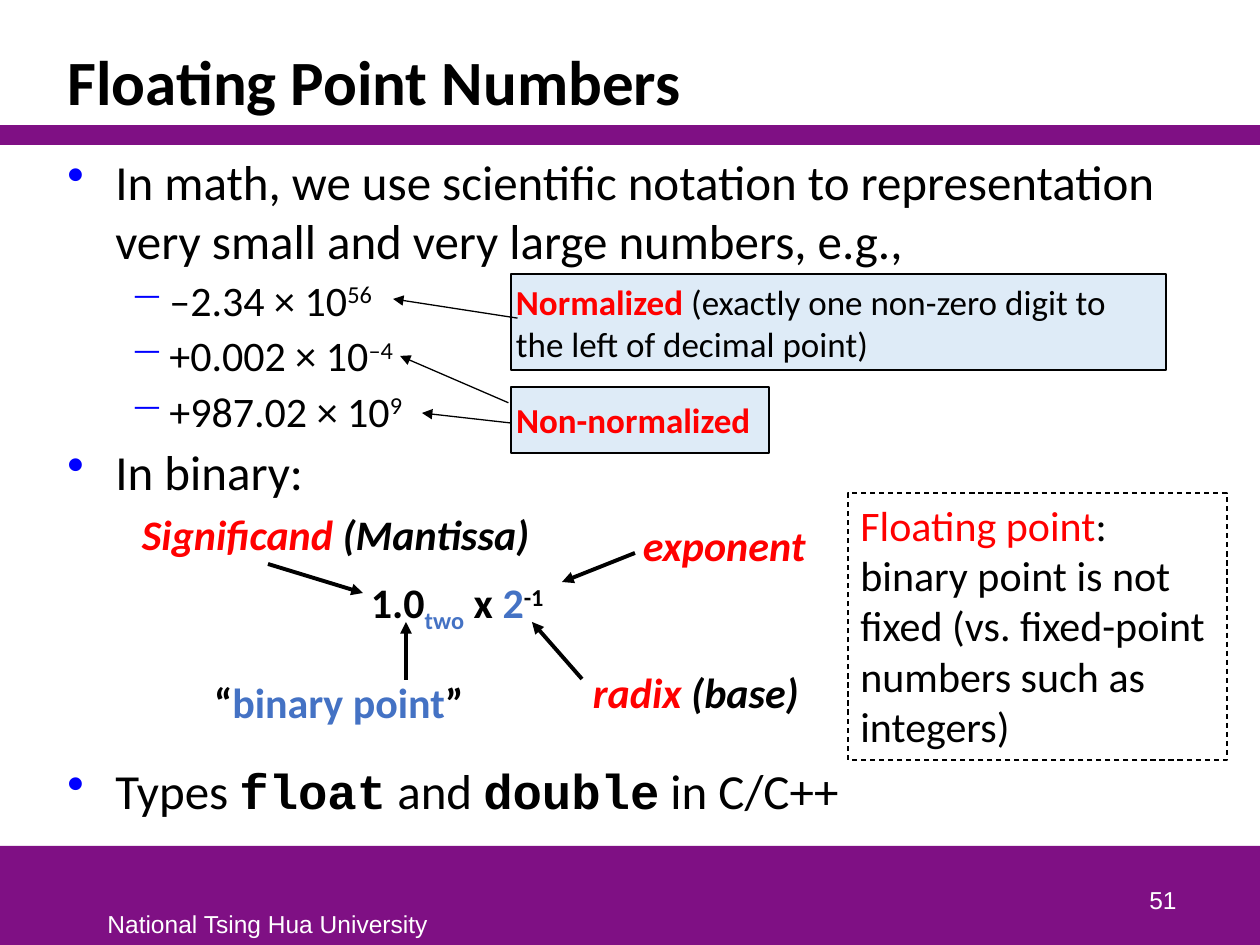
"""Build the Floating Point Numbers slide."""
from lxml.etree import SubElement
from pptx import Presentation
from pptx.dml.color import RGBColor
from pptx.enum.dml import MSO_LINE
from pptx.enum.shapes import MSO_CONNECTOR, MSO_SHAPE
from pptx.enum.text import MSO_ANCHOR, PP_ALIGN
from pptx.oxml.ns import qn
from pptx.util import Pt

PX = 914400 / 126
BLACK, WHITE, RED, BLUE = "000000", "FFFFFF", "FF0000", "4472C4"
PURPLE, PALE, BULLET = "7F1084", "DEEBF7", "0000FF"
BOLD = {"bold": True}
TERM = {"bold": True, "italic": True}
KEY = {**TERM, "color": RED}
ACCENT = {**BOLD, "color": BLUE}
CODE = {**BOLD, "face": "Courier New"}
SUPER = {"baseline": 30}
FOOT = {"color": WHITE, "face": "Arial"}

TITLE = "Floating Point Numbers"
BANDS = [(0, 846, 1260, 99), (0, 125, 1260, 20)]
LEVELS = [
    {"bullet": "•", "margin": 48, "hang": 48, "size": 28},
    {"bullet": "−", "margin": 102, "hang": 39, "size": 24},
]
BULLETS = [
    (0, 0, [("In math, we use scientific notation to representation "
             "very small and very large numbers, e.g.,", {})]),
    (1, 3, [("–2.34 × 10", {}), ("56", SUPER)]),
    (1, 3, [("+0.002 × 10", {}), ("–4", SUPER)]),
    (1, 3, [("+987.02 × 10", {}), ("9", SUPER)]),
    (0, 3, [("In binary:", {})]),
    (0, 149, [("Types ", {}), ("float", CODE), (" and ", {}),
              ("double", CODE), (" in C/C++", {})]),
]
CALLOUTS = [
    ((511, 274, 655, 96), (0.46, 0.01, 0.26, -0.18),
     [("Normalized", {**BOLD, "color": RED}),
      (" (exactly one non-zero digit to the left of decimal point)", {})]),
    ((511, 387, 258, 66), (0.24, -0.01, -0.47, -0.43),
     [("Non-normalized", {**BOLD, "color": RED})]),
]
LABELS = [
    ((363, 576, 199, 50), [("1.0", BOLD), ("two", {**ACCENT, "baseline": -25}),
                           (" x ", BOLD), ("2", ACCENT),
                           ("-1", {**BOLD, **SUPER})]),
    ((585, 670, 224, 50), [("radix", KEY), (" (base)", TERM)]),
    ((206, 680, 294, 50), [("“", BOLD), ("binary point", ACCENT), ("”", BOLD)]),
    ((134, 512, 408, 50), [("Significand ", KEY), ("(Mantissa)", TERM)]),
    ((635, 523, 180, 50), [("exponent", KEY)]),
]
ARROWS = [
    ((511, 423), (422, 413), 0.75),
    ((582, 679), (532, 622), 2.25),
    ((406, 680), (406, 622), 2.25),
    ((268, 564), (363, 593), 2.25),
    ((635, 553), (562, 582), 2.25),
]
NOTE = ((848, 493, 379, 267), [
    ("Floating point", {"color": RED}),
    (": binary point is not fixed (vs. fixed-point numbers such as integers)", {})])
FOOTER = ((95, 903, 348, 42), [("National Tsing Hua University", FOOT)])
NUMBER = ((927, 858, 262, 63), [("51", FOOT)])


def px(*lengths):
    return [round(length * PX) for length in lengths]


def rgb(value):
    return RGBColor.from_string(value)


def add_runs(paragraph, runs, size):
    for text, style in runs:
        run = paragraph.add_run()
        run.text = text
        font = run.font
        font.name, font.size = style.get("face", "Calibri"), Pt(size)
        font.bold, font.italic = style.get("bold", False), style.get("italic", False)
        font.color.rgb = rgb(style.get("color", BLACK))
        if "baseline" in style:
            font._element.set("baseline", str(style["baseline"] * 1000))


def set_insets(frame, across, down):
    frame.margin_left, frame.margin_right = px(across, across)
    frame.margin_top, frame.margin_bottom = px(down, down)


def add_text(slide, box, runs, size, wrap=False):
    frame = slide.shapes.add_textbox(*px(*box)).text_frame
    frame.word_wrap = wrap
    add_runs(frame.paragraphs[0], runs, size)
    return frame


def add_box(slide, kind, box, fill=None, line=None):
    shape = slide.shapes.add_shape(kind, *px(*box))
    shape.shadow.inherit = False
    if fill:
        shape.fill.solid()
        shape.fill.fore_color.rgb = rgb(fill)
    else:
        shape.fill.background()
    if line:
        shape.line.color.rgb = rgb(line)
        shape.line.width = Pt(0.75)
    else:
        shape.line.fill.background()
    return shape


def add_box_text(shape, runs, size):
    frame = shape.text_frame
    frame.word_wrap = True
    frame.vertical_anchor = MSO_ANCHOR.MIDDLE
    frame.paragraphs[0].alignment = PP_ALIGN.LEFT
    add_runs(frame.paragraphs[0], runs, size)
    return frame


def add_arrowhead(shape):
    line = shape._element.spPr.find(qn("a:ln"))
    SubElement(line, qn("a:tailEnd"), type="triangle")


def add_arrow(slide, start, tip, width):
    arrow = slide.shapes.add_connector(MSO_CONNECTOR.STRAIGHT, *px(*start, *tip))
    arrow.line.color.rgb = rgb(BLACK)
    arrow.line.width = Pt(width)
    add_arrowhead(arrow)
    SubElement(arrow._element.spPr, qn("a:effectLst"))


def add_bullets(slide, box):
    frame = slide.shapes.add_textbox(*px(*box)).text_frame
    frame.word_wrap = True
    for index, (depth, before, runs) in enumerate(BULLETS):
        paragraph = frame.add_paragraph() if index else frame.paragraphs[0]
        level = LEVELS[depth]
        paragraph.level = depth
        paragraph.space_before = Pt(before)
        properties = paragraph._p.get_or_add_pPr()
        margin, hang = px(level["margin"], level["hang"])
        properties.set("marL", str(margin))
        properties.set("indent", str(-hang))
        SubElement(SubElement(properties, qn("a:buClr")), qn("a:srgbClr"), val=BULLET)
        SubElement(properties, qn("a:buChar"), char=level["bullet"])
        add_runs(paragraph, runs, level["size"])


def main():
    deck = Presentation()
    deck.slide_width, deck.slide_height = px(1260, 945)
    slide = deck.slides.add_slide(deck.slide_layouts[5])

    for band in BANDS:
        add_box(slide, MSO_SHAPE.RECTANGLE, band, fill=PURPLE)
    add_text(slide, *FOOTER, 14)

    title = slide.shapes.title
    title.left, title.top, title.width, title.height = px(55, 32, 1150, 93)
    title.text_frame.vertical_anchor = MSO_ANCHOR.BOTTOM
    heading = title.text_frame.paragraphs[0]
    heading.alignment, heading.line_spacing = PP_ALIGN.LEFT, 0.85
    add_runs(heading, [(TITLE, BOLD)], 36)

    add_bullets(slide, (55, 145, 1150, 697))
    for box, pointer, runs in CALLOUTS:
        callout = add_box(slide, MSO_SHAPE.LINE_CALLOUT_1, box, PALE, BLACK)
        for index, value in enumerate(pointer):
            callout.adjustments[index] = value
        add_arrowhead(callout)
        set_insets(add_box_text(callout, runs, 20), 5, 5)
    for box, runs in LABELS:
        frame = add_text(slide, box, runs, 24)
        set_insets(frame, 8, 4)
        frame.paragraphs[0].line_spacing = 0.85
    for start, tip, width in ARROWS:
        add_arrow(slide, start, tip, width)

    note_box, note_runs = NOTE
    note = add_box(slide, MSO_SHAPE.RECTANGLE, note_box, line=BLACK)
    note.line.dash_style = MSO_LINE.DASH
    add_box_text(note, note_runs, 24).vertical_anchor = MSO_ANCHOR.TOP

    number = add_text(slide, *NUMBER, 14, wrap=True)
    number.vertical_anchor = MSO_ANCHOR.BOTTOM
    number.paragraphs[0].alignment = PP_ALIGN.RIGHT
    deck.save("out.pptx")


if __name__ == "__main__":
    main()
